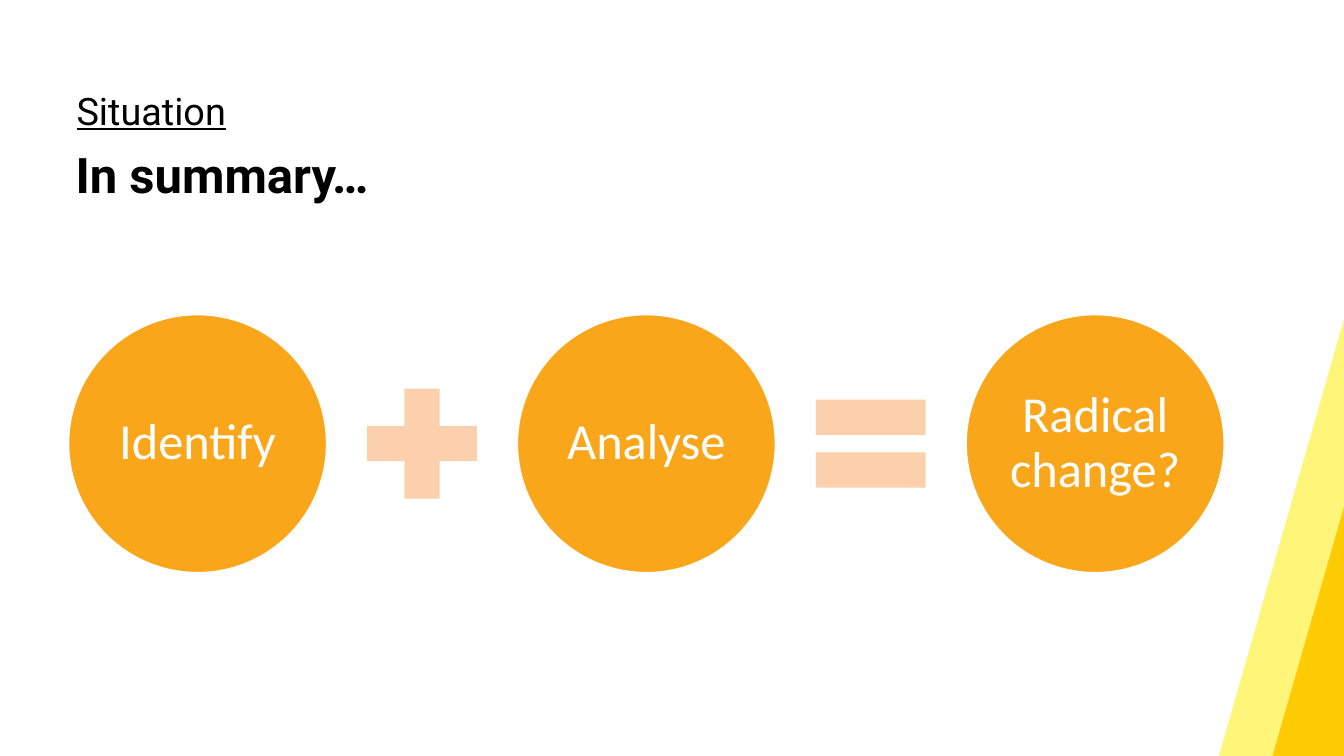
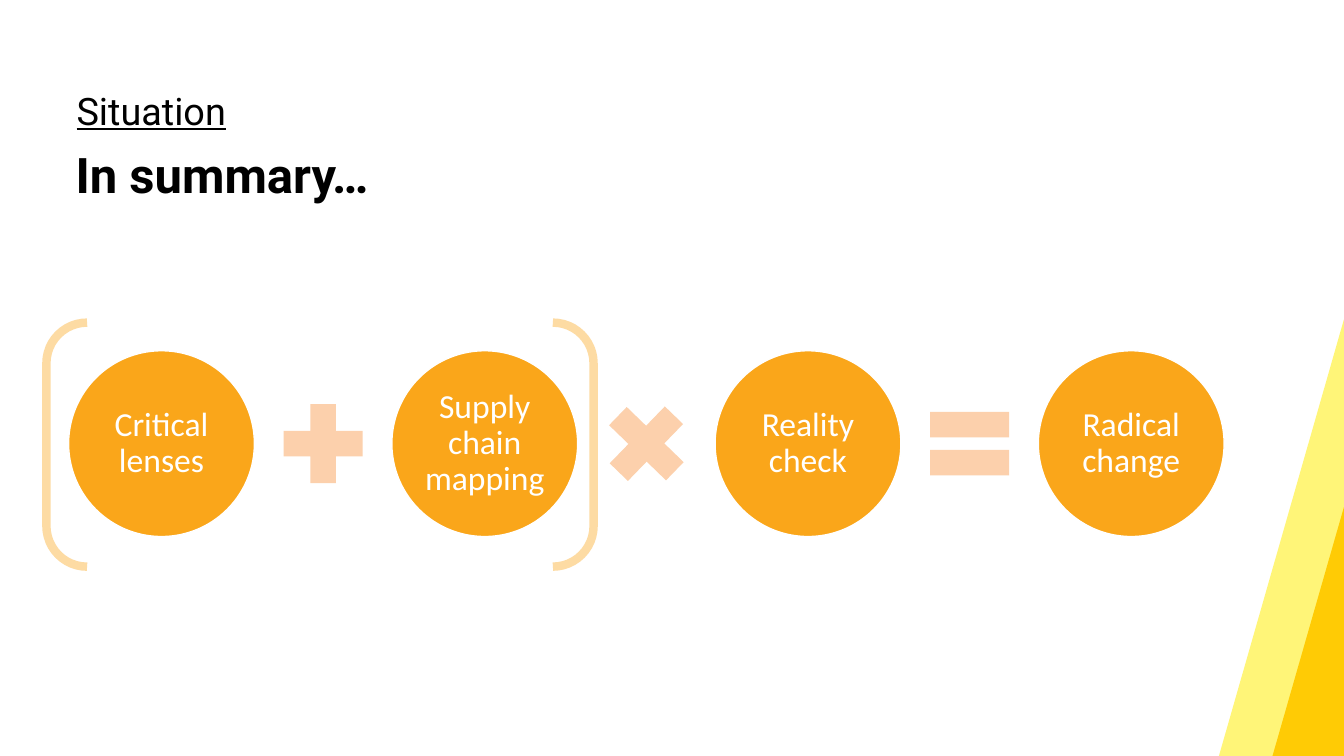
from pptx import Presentation
from pptx.dml.color import RGBColor
from pptx.enum import shapes, text
from pptx.util import Cm, Pt

BLACK = RGBColor(0x00, 0x00, 0x00)
WHITE = RGBColor(0xFF, 0xFF, 0xFF)
ORANGE = RGBColor(0xFA, 0xA6, 0x1A)
PEACH = RGBColor(0xFC, 0xD0, 0xAC)
SAND = RGBColor(0xFD, 0xDB, 0xA3)
LEMON = RGBColor(0xFF, 0xF5, 0x78)
GOLD = RGBColor(0xFF, 0xCB, 0x05)

KIND = shapes.MSO_SHAPE
WIDE, HIGH = 33.87, 19.05
LEFT, SPAN, MID = 1.73, 29.12, 11.18  # the row of circles and its centre line
SIGN, GAP = 0.58, 0.08  # as shares of a circle's diameter

# sign: preset shape and rotation
SIGNS = {
    "+": (KIND.MATH_PLUS, 0),
    "×": (KIND.MATH_PLUS, 314.1),
    "=": (KIND.MATH_EQUAL, 0),
}

# circle labels, signs between them, text size, inset, bracket box
SUMS = [
    (["Identify", "Analyse", "Radical change?"], "+=", 36, 0.13, None),
    (["Critical lenses", "Supply chain mapping", "Reality check", "Radical change"],
     "+×=", 24, 0.08, (1.17, 8.13, 13.79, 6.15)),
]


def draw(slide, kind, box, fill):
    shape = slide.shapes.add_shape(kind, *[Cm(n) for n in box])
    shape.shadow.inherit = False
    shape.line.fill.background()
    if fill is None:
        shape.fill.background()
    else:
        shape.fill.solid()
        shape.fill.fore_color.rgb = fill
    return shape


def write(frame, words, face, size, color, align):
    frame.text = words
    frame.word_wrap = True
    frame.auto_size = text.MSO_AUTO_SIZE.NONE
    para = frame.paragraphs[0]
    para.alignment = align
    font = para.runs[0].font
    font.name, font.size, font.color.rgb = face, Pt(size), color
    return para


prs = Presentation()
prs.slide_width, prs.slide_height = Cm(WIDE), Cm(HIGH)
layout = prs.slide_layouts[5]
decks = [prs.slides.add_slide(layout) for _ in SUMS]

# Corner wedges are drawn once, then moved to the shared layout
for wide, high, color in [(3.15, 11.0, LEMON), (1.8, 6.27, GOLD)]:
    wedge = draw(decks[0], KIND.RIGHT_TRIANGLE,
                 (WIDE - wide, HIGH - high, wide, high), color)
    wedge.element.spPr.xfrm.set("flipH", "1")
    layout.shapes.element.append(wedge.element)

for slide, (labels, signs, size, inset, bracket) in zip(decks, SUMS):
    topic = slide.shapes.add_textbox(Cm(1.68), Cm(2.08), Cm(29.2), Cm(1.32))
    para = write(topic.text_frame, "Situation", "Roboto", 27, BLACK,
                 text.PP_ALIGN.LEFT)
    para.runs[0].font.underline = True

    title = slide.shapes.title
    title.left, title.top = Cm(1.65), Cm(3.5)
    title.width, title.height = Cm(29.23), Cm(1.75)
    title.text_frame.vertical_anchor = text.MSO_ANCHOR.BOTTOM
    para = write(title.text_frame, "In summary…", "Roboto", 35, BLACK,
                 text.PP_ALIGN.LEFT)
    para.runs[0].font.bold = True

    step = 1 + SIGN + 2 * GAP
    disc = SPAN / (1 + step * len(signs))
    mark = SIGN * disc
    for i, label in enumerate(labels):
        x = LEFT + i * step * disc
        ball = draw(slide, KIND.OVAL, (x, MID - disc / 2, disc, disc), ORANGE)
        ball.line.color.rgb = WHITE
        ball.line.width = Pt(1)
        frame = ball.text_frame
        frame.margin_left = frame.margin_right = Cm(inset)
        frame.margin_top = frame.margin_bottom = Cm(inset)
        frame.vertical_anchor = text.MSO_ANCHOR.MIDDLE
        para = write(frame, label, "Calibri", size, WHITE, text.PP_ALIGN.CENTER)
        para.line_spacing = 0.9

        if i < len(signs):
            kind, turn = SIGNS[signs[i]]
            sign = draw(slide, kind, (x + (1 + GAP) * disc, MID - mark / 2, mark, mark),
                        PEACH)
            sign.rotation = turn

    if bracket:
        pair = draw(slide, KIND.DOUBLE_BRACKET, bracket, None)
        pair.line.color.rgb = SAND
        pair.line.width = Pt(6)

prs.save("out.pptx")
